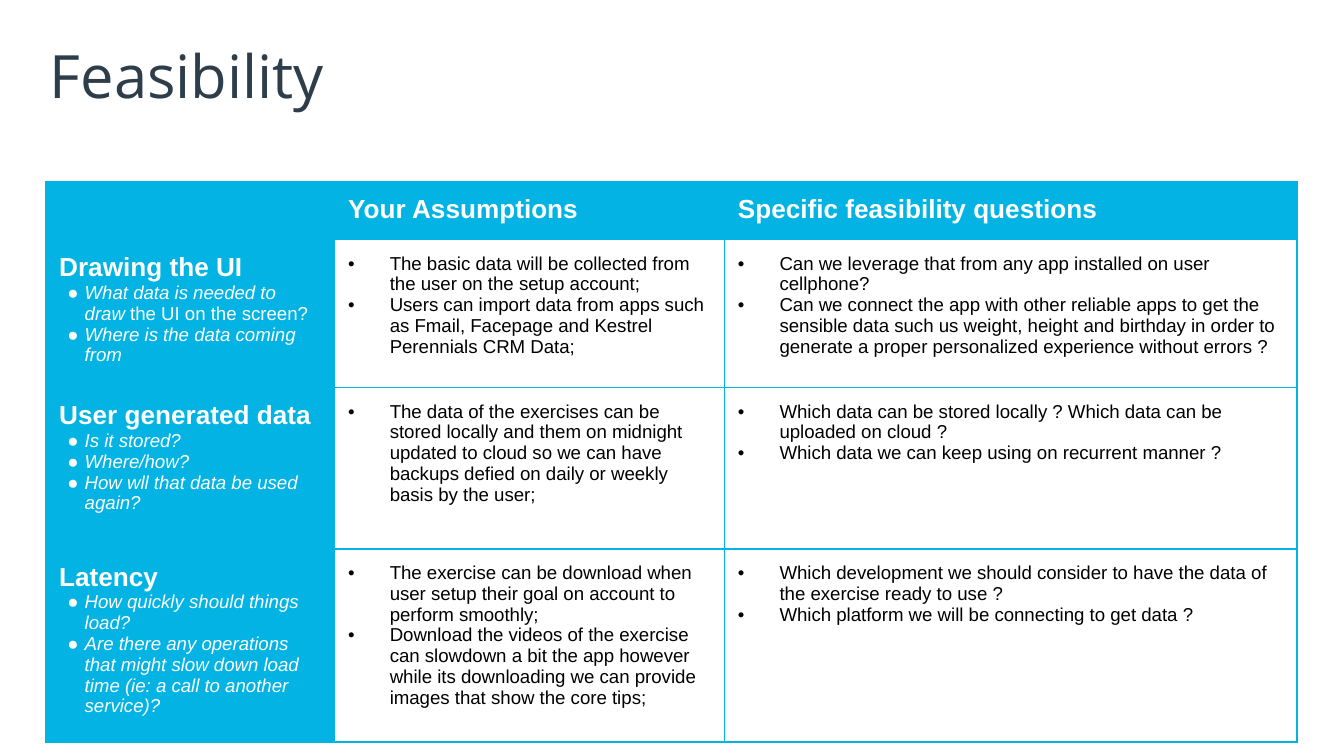
from lxml import etree
from pptx import Presentation
from pptx.dml.color import RGBColor
from pptx.enum import text
from pptx.oxml.ns import qn
from pptx.util import Inches, Pt

COLORS = {"blue": "02B3E4", "white": "FFFFFF", "black": "000000", "title": "2D3D4A"}


def format_run(run, size, color, bold=False, italic=False, name="Arial"):
    run.font.size = Pt(size)
    run.font.name = name
    run.font.bold = bold
    run.font.italic = italic
    run.font.color.rgb = RGBColor.from_string(COLORS[color])


def add_bullet(para, symbol, color, left, hanging):
    props = para._p.get_or_add_pPr()
    props.set("marL", str(Inches(left)))
    props.set("indent", str(-Inches(hanging)))
    bullet_color = etree.SubElement(props, qn("a:buClr"))
    etree.SubElement(bullet_color, qn("a:srgbClr"), val=COLORS[color])
    etree.SubElement(props, qn("a:buFont"), typeface="Arial")
    etree.SubElement(props, qn("a:buChar"), char=symbol)


# Widescreen page, 16 to 9
deck = Presentation()
deck.slide_width = Inches(10)
deck.slide_height = Inches(10 * 9 / 16)
page = deck.slides.add_slide(deck.slide_layouts[6])

# Title
box = page.shapes.add_textbox(Inches(0.34), Inches(0.24), Inches(9.32), Inches(0.63))
frame = box.text_frame
frame.word_wrap = True
frame.vertical_anchor = text.MSO_ANCHOR.MIDDLE
frame.margin_left = frame.margin_right = Inches(0.03)
frame.margin_top = frame.margin_bottom = Inches(0.01)
frame.text = "Feasibility"
format_run(frame.paragraphs[0].runs[0], 32, "title", name="Open Sans")

# Each cell is a heading and a list of bullets
rows = [
    [("", []), ("Your Assumptions", []), ("Specific feasibility questions", [])],
    [
        ("Drawing the UI", ["What data is needed to draw the UI on the screen?",
                            "Where is the data coming from"]),
        ("", ["The basic data will be collected from the user on the setup account;",
              "Users can import data from apps such as Fmail, Facepage and Kestrel "
              "Perennials CRM Data;"]),
        ("", ["Can we leverage that from any app installed on user cellphone?",
              "Can we connect the app with other reliable apps to get the sensible data "
              "such us weight, height and birthday in order to generate a proper "
              "personalized experience without errors ?"]),
    ],
    [
        ("User generated data", ["Is it stored?", "Where/how?",
                                 "How wll that data be used again?"]),
        ("", ["The data of the exercises can be stored locally and them on midnight "
              "updated to cloud so we can have backups defied on daily or weekly basis "
              "by the user;"]),
        ("", ["Which data can be stored locally ? Which data can be uploaded on cloud ?",
              "Which data we can keep using on recurrent manner ?"]),
    ],
    [
        ("Latency", ["How quickly should things load?",
                     "Are there any operations that might slow down load time "
                     "(ie: a call to another service)?"]),
        ("", ["The exercise can be download when user setup their goal on account to "
              "perform smoothly;",
              "Download the videos of the exercise can slowdown a bit the app however "
              "while its downloading we can provide images that show the core tips;"]),
        ("", ["Which development we should consider to have the data of the exercise "
              "ready to use ?",
              "Which platform we will be connecting to get data ?"]),
    ],
]
upright_ending = "the UI on the screen?"

# Table grid
widths = [2.15, 2.9, 4.26]
heights = [0.42, 1.04, 1.2, 1.35]
table = page.shapes.add_table(len(heights), len(widths), Inches(0.34), Inches(1.35),
                              Inches(sum(widths)), Inches(sum(heights))).table
table.horz_banding = False
table.first_row = False
for column, width in zip(table.columns, widths):
    column.width = Inches(width)
for row, height in zip(table.rows, heights):
    row.height = Inches(height)

# Cells
for row_index, row in enumerate(rows):
    for column_index, (heading, bullets) in enumerate(row):
        cell = table.cell(row_index, column_index)
        cell.margin_left = cell.margin_right = Inches(0.1)
        cell.margin_top = cell.margin_bottom = Inches(0.1)

        # Borders come before the fill in the cell properties
        props = cell._tc.get_or_add_tcPr()
        for side in ("a:lnL", "a:lnR", "a:lnT", "a:lnB"):
            line = etree.SubElement(props, qn(side), w=str(Pt(0.75)))
            fill = etree.SubElement(line, qn("a:solidFill"))
            etree.SubElement(fill, qn("a:srgbClr"), val=COLORS["blue"])
        if row_index == 0 or column_index == 0:
            cell.fill.solid()
            cell.fill.fore_color.rgb = RGBColor.from_string(COLORS["blue"])
        else:
            cell.fill.background()

        # Text
        lines = ([heading] if heading else []) + bullets
        cell.text_frame.text = "\n".join(lines)
        for para, line in zip(cell.text_frame.paragraphs, lines):
            if line == heading:
                format_run(para.runs[0], 14, "white", bold=True)
            elif column_index == 0:
                add_bullet(para, "●", "white", 0.19, 0.13)
                if line.endswith(upright_ending):
                    para.runs[0].text = line.removesuffix(upright_ending)
                    para.add_run().text = upright_ending
                for span in para.runs:
                    format_run(span, 10, "white", italic=span.text != upright_ending)
            else:
                add_bullet(para, "•", "black", 0.31, 0.31)
                format_run(para.runs[0], 10, "black")

        # Small paragraph ends keep the rows from growing
        for para in cell.text_frame.paragraphs:
            etree.SubElement(para._p, qn("a:endParaRPr"), sz="1000")

deck.save("out.pptx")
